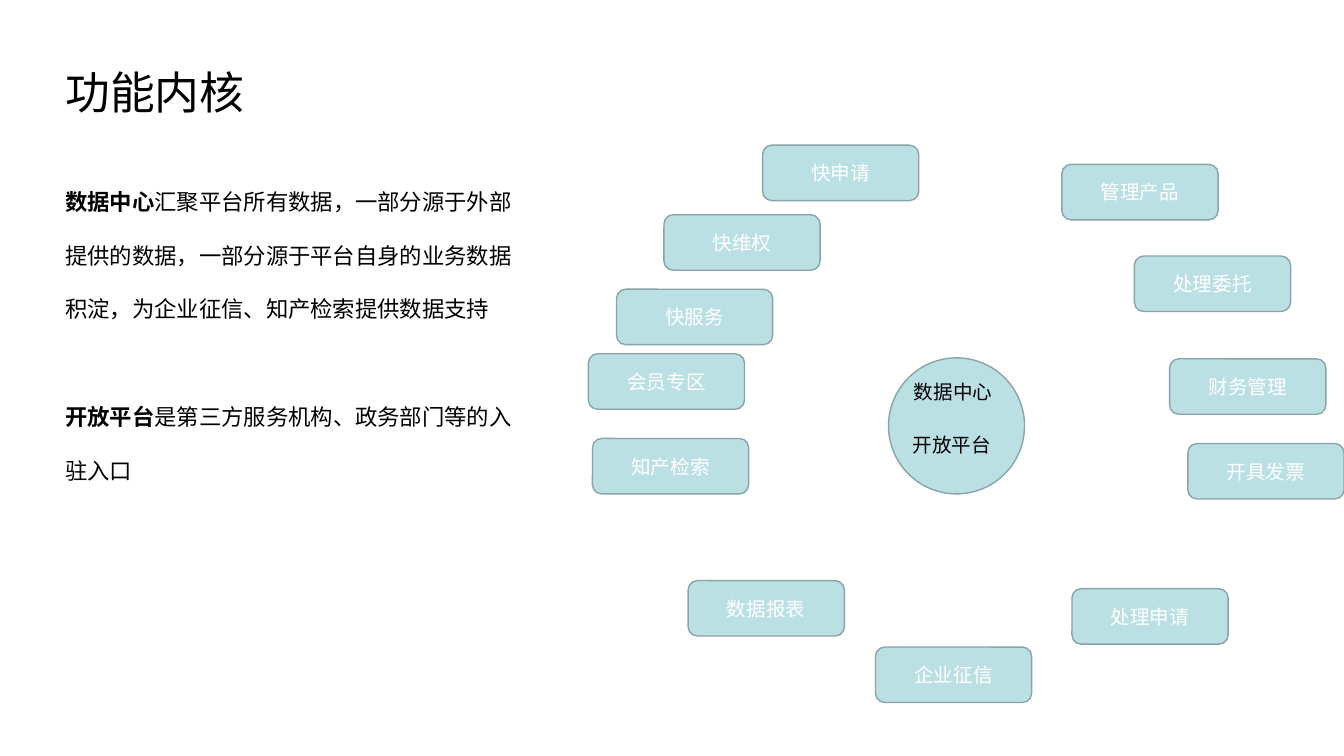
from dataclasses import dataclass

from pptx import Presentation
from pptx.dml.color import RGBColor
from pptx.enum.shapes import MSO_SHAPE as Preset
from pptx.enum.text import MSO_ANCHOR as Anchor, PP_ALIGN as Align
from pptx.util import Pt


@dataclass(frozen=True)
class Theme:
    """Fonts, type sizes and colours of the slide."""
    font: str = "Noto Sans CJK SC"
    title_size: int = 32
    body_size: int = 16
    label_size: int = 14
    ink: RGBColor = RGBColor.from_string("000000")
    light: RGBColor = RGBColor.from_string("FFFFFF")
    fill: RGBColor = RGBColor.from_string("BBE0E3")
    outline: RGBColor = RGBColor.from_string("89A4A7")


THEME = Theme()
FEATURE_SIZE = (111.6, 39.6)
FEATURES = [
    ("快申请", 545, 103.7),
    ("快维权", 474.5, 153.4),
    ("快服务", 440.6, 206.6),
    ("企业征信", 625.7, 462.2),
    ("知产检索", 423.4, 313.2),
    ("管理产品", 758.9, 117.4),
    ("处理委托", 810.7, 182.9),
    ("财务管理", 835.9, 256.3),
    ("开具发票", 848.9, 316.8),
    ("处理申请", 766.1, 420.5),
    ("数据报表", 491.8, 414.7),
    ("会员专区", 420.5, 252.7),
]
CORE = (635, 255.6, 97.2, 97.2)
CORE_CAPTIONS = [
    ("数据中心", (632.9, 267.8, 96.5, 24.5)),
    ("开放平台", (626.4, 305.6, 108, 24.5)),
]
BODY_PITCH = 38.4
DESCRIPTIONS = [
    ("数据中心", "汇聚平台所有数据，一部分源于外部提供的数据，"
                 "一部分源于平台自身的业务数据积淀，为企业征信、知产检索提供数据支持"),
    ("开放平台", "是第三方服务机构、政务部门等的入驻入口"),
]


def add_run(paragraph, text, size, color, bold=False):
    """Append one styled run to a paragraph."""
    run = paragraph.add_run()
    run.text = text
    run.font.name = THEME.font
    run.font.size = Pt(size)
    run.font.bold = bold
    run.font.color.rgb = color


def add_text_area(slide, box):
    """Add a wrapping text box and return its text frame."""
    frame = slide.shapes.add_textbox(*map(Pt, box)).text_frame
    frame.word_wrap = True
    return frame


def add_caption(slide, text, box, size, align):
    """Add a single line of dark text."""
    paragraph = add_text_area(slide, box).paragraphs[0]
    paragraph.alignment = align
    add_run(paragraph, text, size, THEME.ink)


def add_descriptions(slide, box):
    """Add the explanatory paragraphs, each opened by a bold term."""
    frame = add_text_area(slide, box)
    for index, (term, explanation) in enumerate(DESCRIPTIONS):
        paragraph = frame.add_paragraph() if index else frame.paragraphs[0]
        paragraph.line_spacing = Pt(BODY_PITCH)
        paragraph.space_before = Pt(BODY_PITCH if index else 0)
        add_run(paragraph, term, THEME.body_size, THEME.ink, bold=True)
        add_run(paragraph, explanation, THEME.body_size, THEME.ink)


def add_panel(slide, preset, box):
    """Add a flat filled shape with a thin outline."""
    panel = slide.shapes.add_shape(preset, *map(Pt, box))
    panel.shadow.inherit = False
    panel.fill.solid()
    panel.fill.fore_color.rgb = THEME.fill
    panel.line.color.rgb = THEME.outline
    panel.line.width = Pt(1)
    return panel


def add_feature(slide, name, left, top):
    """Add a rounded box naming one platform feature."""
    feature = add_panel(slide, Preset.ROUNDED_RECTANGLE, (left, top, *FEATURE_SIZE))
    feature.text_frame.vertical_anchor = Anchor.MIDDLE
    paragraph = feature.text_frame.paragraphs[0]
    paragraph.alignment = Align.CENTER
    add_run(paragraph, name, THEME.label_size, THEME.light)


def main():
    """Build the slide and save it."""
    deck = Presentation()
    deck.slide_width, deck.slide_height = Pt(960.5), Pt(540)
    slide = deck.slides.add_slide(deck.slide_layouts[6])

    add_caption(slide, "功能内核", (39.6, 42.5, 671, 46), THEME.title_size, Align.LEFT)
    add_descriptions(slide, (39.6, 111.6, 344.2, 237.6))
    for name, left, top in FEATURES:
        add_feature(slide, name, left, top)
    add_panel(slide, Preset.OVAL, CORE)
    for text, box in CORE_CAPTIONS:
        add_caption(slide, text, box, THEME.label_size, Align.CENTER)

    deck.save("out.pptx")


if __name__ == "__main__":
    main()
